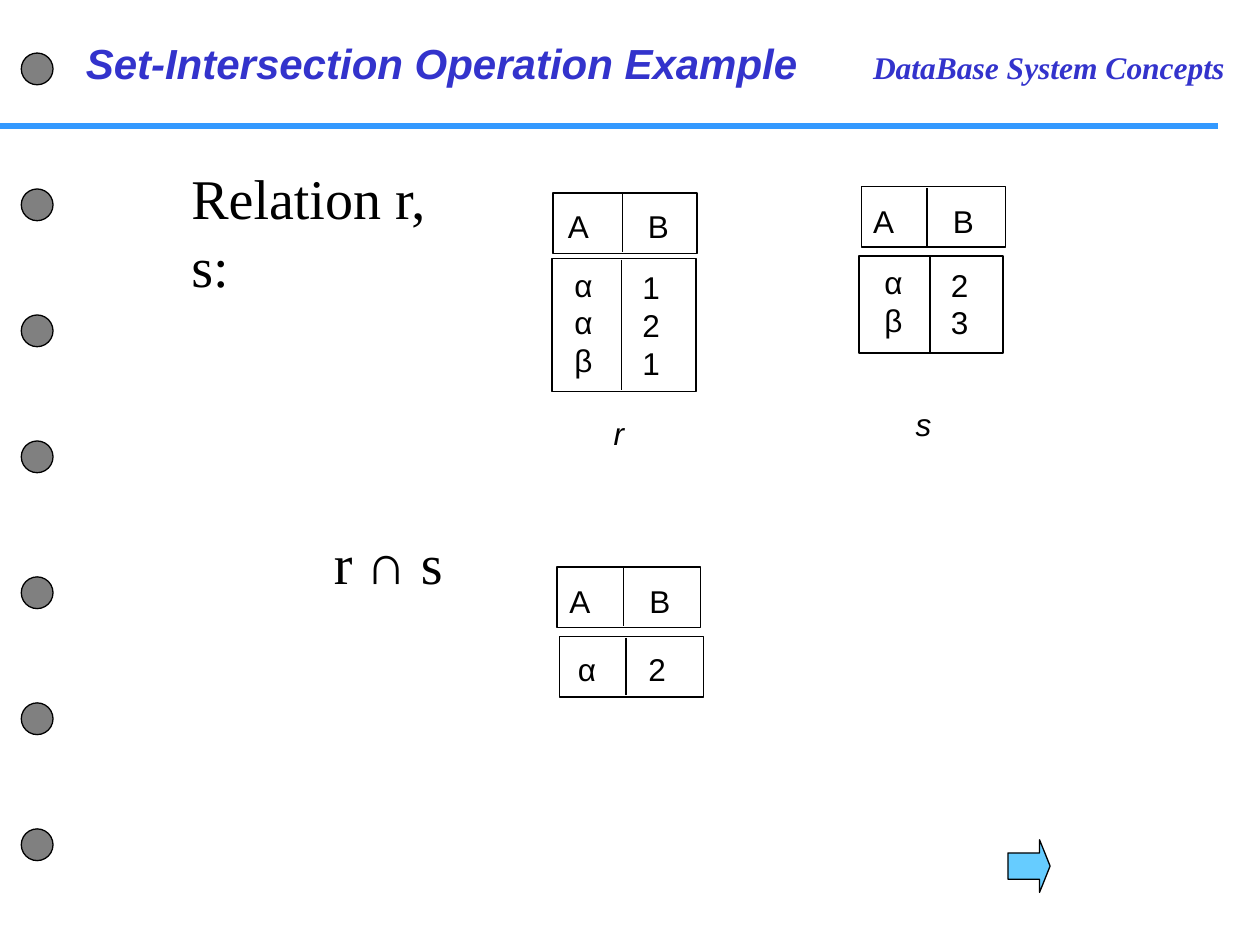
import pptx
import pptx.dml.color
import pptx.enum.shapes
import pptx.oxml
import pptx.oxml.ns
import pptx.util
from pptx.util import Cm

SHAPE = pptx.enum.shapes.MSO_SHAPE
SANS, SERIF = "Arial", "Times New Roman"
BLACK, BLUE = "000000", "3333CC"
WIDE = 2.9
ROW = 1.22


def color(code):
    return pptx.dml.color.RGBColor.from_string(code)


def shape(slide, kind, x, y, w, h, fill):
    item = slide.shapes.add_shape(kind, Cm(x), Cm(y), Cm(w), Cm(h))
    item.shadow.inherit = False
    item.fill.solid()
    item.fill.fore_color.rgb = color(fill)
    item.line.color.rgb = color(BLACK)
    item.line.width = pptx.util.Pt(0.75)
    return item


def line(slide, x1, y1, x2, y2, tint=BLACK, width=0.75):
    item = slide.shapes.add_connector(
        pptx.enum.shapes.MSO_CONNECTOR.STRAIGHT, Cm(x1), Cm(y1), Cm(x2), Cm(y2))
    item.line.color.rgb = color(tint)
    item.line.width = pptx.util.Pt(width)
    pptx.oxml.ns.qn("a:effectLst")
    item._element.spPr.append(pptx.oxml.parse_xml(
        f"<a:effectLst {pptx.oxml.ns.nsdecls('a')}/>"))


def style(run, size, face, tint=BLACK, bold=False, slant=False):
    run.font.size = pptx.util.Pt(size)
    run.font.name = face
    run.font.color.rgb = color(tint)
    run.font.bold = bold
    run.font.italic = slant


def label(slide, text, x, y, w, h, size=18, face=SANS, tint=BLACK,
          bold=False, slant=False, wrap=False, tab=None):
    """Add a text box; tab is the distance to a left tab stop in cm."""
    frame = slide.shapes.add_textbox(Cm(x), Cm(y), Cm(w), Cm(h)).text_frame
    frame.word_wrap = wrap
    frame.text = text
    for para in frame.paragraphs:
        if tab:
            para._p.get_or_add_pPr().append(pptx.oxml.parse_xml(
                f"<a:tabLst {pptx.oxml.ns.nsdecls('a')}>"
                f'<a:tab pos="{Cm(tab)}" algn="l"/></a:tabLst>'))
        for run in para.runs:
            style(run, size, face, tint, bold, slant)
    return frame


def pair(slide, text, x, y, tab):
    """Add two values on one line, the second at a tab stop."""
    label(slide, text, x, y, 2.85, 1.02, wrap=True, tab=tab)


def column(slide, values, x, y):
    label(slide, "\n".join(values), x, y, 0.9, 0.25 + 0.76 * len(values))


def cell(slide, x, y, h, split):
    """Add a box divided in two at the given distance from its left."""
    shape(slide, SHAPE.RECTANGLE, x, y, WIDE, h, "FFFFFF")
    line(slide, x + split, y + 0.03, x + split, y + h - 0.03)


def head(slide, x, y, split, left, top):
    cell(slide, x, y, ROW, split)
    pair(slide, "A\tB", left, top, 1.61)


def frame(slide):
    """Add the rule, the dots and the two headings."""
    line(slide, 0, 2.54, 24.56, 2.54, "3399FF", 3)
    for y in (1.07, 3.81, 6.35, 8.89, 11.63, 14.17, 16.71):
        shape(slide, SHAPE.OVAL, 0.43, y, 0.64, 0.64, "808080")
    label(slide, "DataBase System Concepts", 17.35, 0.84, 8.05, 1.02,
          face=SERIF, tint=BLUE, bold=True, slant=True, wrap=True)
    label(slide, "Set-Intersection Operation Example", 1.48, 0.64, 14.86, 1.27,
          size=24, tint=BLUE, bold=True, slant=True)


def inputs(slide):
    label(slide, "Relation r, s:", 3.61, 3.18, 6.15, 1.47,
          size=32, face=SERIF, wrap=True)

    head(slide, 11.15, 3.89, 1.4, 11.2, 4.04)
    cell(slide, 11.13, 5.21, 2.69, 1.4)
    column(slide, "ααβ", 11.33, 5.23)
    column(slide, "121", 12.7, 5.28)
    label(slide, "r", 12.12, 8.23, 0.71, 1.02, slant=True)

    head(slide, 17.37, 3.76, 1.32, 17.35, 3.94)
    cell(slide, 17.32, 5.16, 1.96, 1.43)
    column(slide, "αβ", 17.58, 5.18)
    column(slide, "23", 18.92, 5.23)
    label(slide, "s", 18.21, 8.05, 0.81, 1.02, slant=True)


def result(slide):
    head(slide, 11.23, 11.43, 1.34, 11.23, 11.61)
    cell(slide, 11.28, 12.83, ROW, 1.34)
    pair(slide, "α\t2", 11.4, 12.98, 1.42)
    para = label(slide, "r ", 6.48, 10.52, 2.79, 1.63,
                 size=32, face=SERIF).paragraphs[0]
    for text, face in (("∩", SANS), (" s", SERIF)):
        run = para.add_run()
        run.text = text
        style(run, 32, face)


def main():
    deck = pptx.Presentation()
    deck.slide_width, deck.slide_height = Cm(25.4), Cm(19.05)
    slide = deck.slides.add_slide(deck.slide_layouts[6])
    frame(slide)
    inputs(slide)
    result(slide)
    arrow = shape(slide, SHAPE.RIGHT_ARROW, 20.32, 16.93, 0.85, 1.06, "66CCFF")
    arrow.adjustments[0] = 0.5
    arrow.adjustments[1] = 0.25
    deck.save("out.pptx")


if __name__ == "__main__":
    main()
